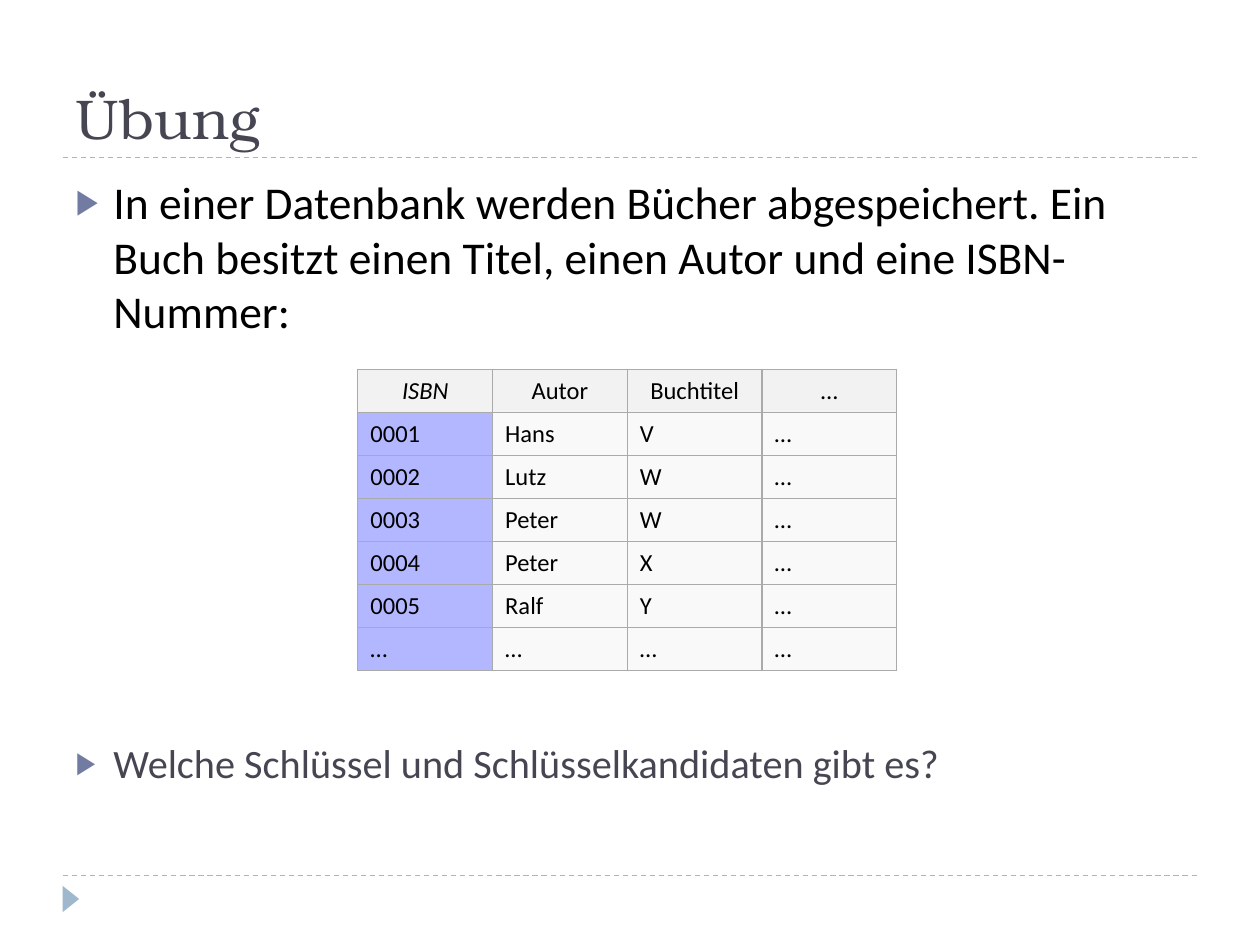
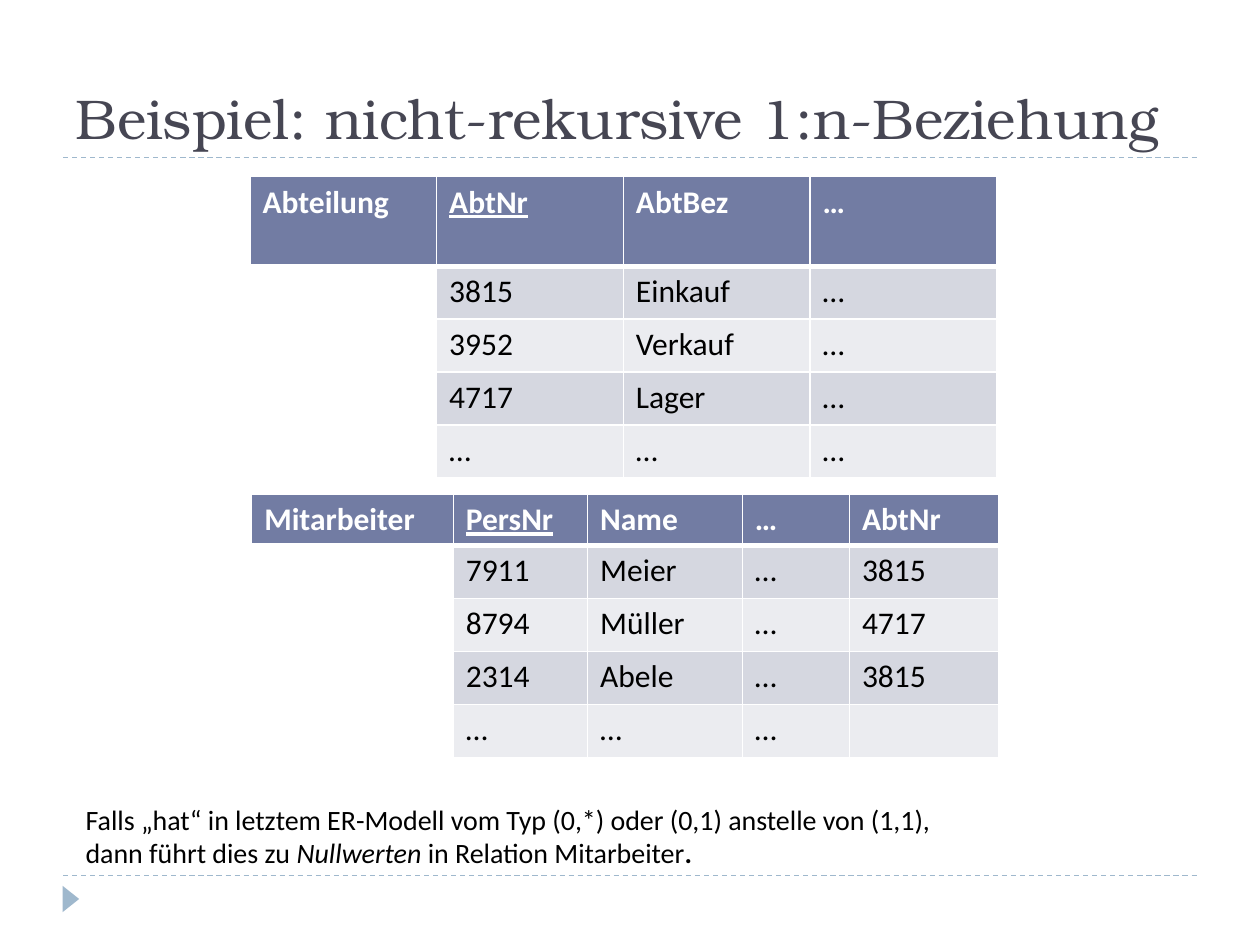
from dataclasses import dataclass

from lxml.etree import SubElement
from pptx import Presentation
from pptx.dml.color import RGBColor
from pptx.enum.dml import MSO_LINE
from pptx.enum.shapes import MSO_CONNECTOR, MSO_SHAPE
from pptx.enum.text import MSO_ANCHOR, MSO_AUTO_SIZE, PP_ALIGN
from pptx.oxml.ns import qn
from pptx.util import Pt

COLORS = {
    "title": "464653", "text": "000000", "white": "FFFFFF",
    "rule": "9FB8CD", "accent": "727CA3", "band_dark": "D5D7E0", "band_light": "EBECF0",
    "grid": "AAAAAA", "head": "F2F2F2", "key": "B3B7FF", "cell": "F9F9F9",
}
TITLE_FONT, BODY_FONT = "TeX Gyre Bonum", "Calibri"
LEFT, RIGHT = 36, 684
RULES_Y = (500.4, 90)


@dataclass
class Relation:
    """A table with its place, column widths, row heights and texts."""
    left: float
    top: float
    widths: list[float]
    head_height: float
    row_height: float
    rows: list[list[str]]


@dataclass
class Bullet:
    """A list entry with its level, size, colour and space before."""
    text: str
    level: int
    size: float
    color: str
    before: float


BOOKS = Relation(204.5, 211, [77] * 4, 24.6, 24.6, [
    ["ISBN", "Autor", "Buchtitel", "…"],
    ["0001", "Hans", "V", "…"],
    ["0002", "Lutz", "W", "…"],
    ["0003", "Peter", "W", "…"],
    ["0004", "Peter", "X", "…"],
    ["0005", "Ralf", "Y", "…"],
    ["…"] * 4,
])
DEPARTMENTS = Relation(142.8, 101, [106.7] * 4, 51.2, 30.2, [
    ["Abteilung", "AbtNr", "AbtBez", "…"],
    ["", "3815", "Einkauf", "…"],
    ["", "3952", "Verkauf", "…"],
    ["", "4717", "Lager", "…"],
    ["", "…", "…", "…"],
])
EMPLOYEES = Relation(143.8, 282.5, [115.2, 76.8, 88.4, 61.2, 85.4], 29.2, 30.3, [
    ["Mitarbeiter", "PersNr", "Name", "…", "AbtNr"],
    ["", "7911", "Meier", "…", "3815"],
    ["", "8794", "Müller", "…", "4717"],
    ["", "2314", "Abele", "…", "3815"],
    ["", "…", "…", "…", ""],
])
BULLETS = [
    Bullet("In einer Datenbank werden Bücher abgespeichert. Ein Buch besitzt einen Titel, "
           "einen Autor und eine ISBN-Nummer:", 0, 26, "text", 6),
    Bullet("Welche Schlüssel und Schlüsselkandidaten gibt es?", 1, 23, "title", 229),
]
NOTE = [
    [("Falls „hat“ in letztem ER-Modell vom Typ (0,*) oder (0,1) anstelle von (1,1),", "")],
    [("dann führt dies zu ", ""), ("Nullwerten ", "italic"),
     ("in Relation Mitarbeiter", ""), (".", "bold")],
]


def rgb(name: str) -> RGBColor:
    return RGBColor.from_string(COLORS[name])


def set_font(font, size: float, color: str, name: str = BODY_FONT) -> None:
    font.name, font.size = name, Pt(size)
    font.color.rgb = rgb(color)


def place(sp, left: float, top: float, width: float, height: float) -> None:
    sp.left, sp.top, sp.width, sp.height = Pt(left), Pt(top), Pt(width), Pt(height)


def add_slide(prs, layout: int, title: str):
    s = prs.slides.add_slide(prs.slide_layouts[layout])
    for y in RULES_Y:
        line = s.shapes.add_connector(MSO_CONNECTOR.STRAIGHT, Pt(LEFT), Pt(y), Pt(RIGHT), Pt(y))
        line.line.color.rgb = rgb("rule")
        line.line.width = Pt(0.75)
        line.line.dash_style = MSO_LINE.DASH
        SubElement(line._element.spPr, qn("a:effectLst"))
    sp = s.shapes.add_shape(MSO_SHAPE.ISOSCELES_TRIANGLE, Pt(33), Pt(509), Pt(15), Pt(9.4))
    sp.rotation = 90
    sp.shadow.inherit = False
    sp.fill.solid()
    sp.fill.fore_color.rgb = rgb("rule")
    sp.line.fill.background()

    place(s.shapes.title, LEFT, 12.2, RIGHT - LEFT, 77.8)
    tf = s.shapes.title.text_frame
    tf.text = title
    tf.auto_size = MSO_AUTO_SIZE.NONE
    tf.vertical_anchor = MSO_ANCHOR.BOTTOM
    p = tf.paragraphs[0]
    p.alignment = PP_ALIGN.LEFT
    set_font(p.runs[0].font, 32, "title", TITLE_FONT)
    return s


def add_bullets(s, bullets: list[Bullet]) -> None:
    body = s.placeholders[1]
    place(body, LEFT, 95.8, RIGHT - LEFT, 388.8)
    tf = body.text_frame
    tf.text = "\n".join(b.text for b in bullets)
    tf.auto_size = MSO_AUTO_SIZE.NONE
    for p, b in zip(tf.paragraphs, bullets):
        p.level = b.level
        p.space_before = Pt(b.before)
        set_font(p.runs[0].font, b.size, b.color)
        ppr = p._p.get_or_add_pPr()
        ppr.set("marL", str(Pt(21.6)))
        ppr.set("indent", str(Pt(-21.6)))
        SubElement(SubElement(ppr, qn("a:buClr")), qn("a:srgbClr"), val=COLORS["accent"])
        SubElement(ppr, qn("a:buSzPct"), val="76000")
        SubElement(ppr, qn("a:buChar"), char="▶")


def set_borders(cell, color: str, width: float, bottom: float) -> None:
    tcpr = cell._tc.get_or_add_tcPr()
    for side in "LRTB":
        weight = bottom if side == "B" else width
        ln = SubElement(tcpr, qn(f"a:ln{side}"), w=str(Pt(weight)))
        SubElement(SubElement(ln, qn("a:solidFill")), qn("a:srgbClr"), val=COLORS[color])


def set_fill(cell, color: str) -> None:
    cell.fill.solid()
    cell.fill.fore_color.rgb = rgb(color)


def add_grid(s, rel: Relation):
    heights = [rel.head_height] + [rel.row_height] * (len(rel.rows) - 1)
    table = s.shapes.add_table(len(heights), len(rel.widths), Pt(rel.left), Pt(rel.top),
                               Pt(sum(rel.widths)), Pt(sum(heights))).table
    table.first_row = table.horz_banding = False
    for col, width in zip(table.columns, rel.widths):
        col.width = Pt(width)
    for row, height, texts in zip(table.rows, heights, rel.rows):
        row.height = Pt(height)
        for cell, text in zip(row.cells, texts):
            cell.text_frame.text = text
    return table


def add_books(s, rel: Relation) -> None:
    table = add_grid(s, rel)
    for i, row in enumerate(table.rows):
        for j, cell in enumerate(row.cells):
            set_borders(cell, "grid", 0.75, 0.75)
            set_fill(cell, "head" if i == 0 else "key" if j == 0 else "cell")
            cell.vertical_anchor = MSO_ANCHOR.MIDDLE
            p = cell.text_frame.paragraphs[0]
            p.alignment = PP_ALIGN.CENTER if i == 0 else PP_ALIGN.LEFT
            set_font(p.runs[0].font, 14, "text")
            p.runs[0].font.italic = i == j == 0


def add_relation(s, rel: Relation) -> None:
    """Draw a relation with its name in the header and the key underlined."""
    table = add_grid(s, rel)
    for i, row in enumerate(table.rows):
        head = i == 0
        for j, cell in enumerate(row.cells):
            set_borders(cell, "white", 1, 3 if head else 1)
            if j == 0 and not head:
                cell.fill.background()
            else:
                set_fill(cell, "accent" if head else "band_dark" if i % 2 else "band_light")
            for r in cell.text_frame.paragraphs[0].runs:
                set_font(r.font, 18, "white" if head else "text")
                r.font.bold = head
                r.font.underline = head and j == 1
    table.cell(1, 0).merge(table.cell(len(rel.rows) - 1, 0))


def add_note(s) -> None:
    tf = s.shapes.add_textbox(Pt(41.8), Pt(455), Pt(661), Pt(46)).text_frame
    tf.word_wrap = True
    tf.text = "\n".join("" for _ in NOTE)
    for p, parts in zip(tf.paragraphs, NOTE):
        for text, style in parts:
            r = p.add_run()
            r.text = text
            set_font(r.font, 16, "text")
            r.font.italic = style == "italic"
            r.font.bold = style == "bold"


def main() -> None:
    prs = Presentation()
    prs.slide_width, prs.slide_height = Pt(720), Pt(540)

    s = add_slide(prs, 1, "Übung")
    add_bullets(s, BULLETS)
    add_books(s, BOOKS)

    s = add_slide(prs, 5, "Beispiel: nicht-rekursive 1:n-Beziehung")
    add_relation(s, DEPARTMENTS)
    add_relation(s, EMPLOYEES)
    add_note(s)

    prs.save("out.pptx")


if __name__ == "__main__":
    main()
